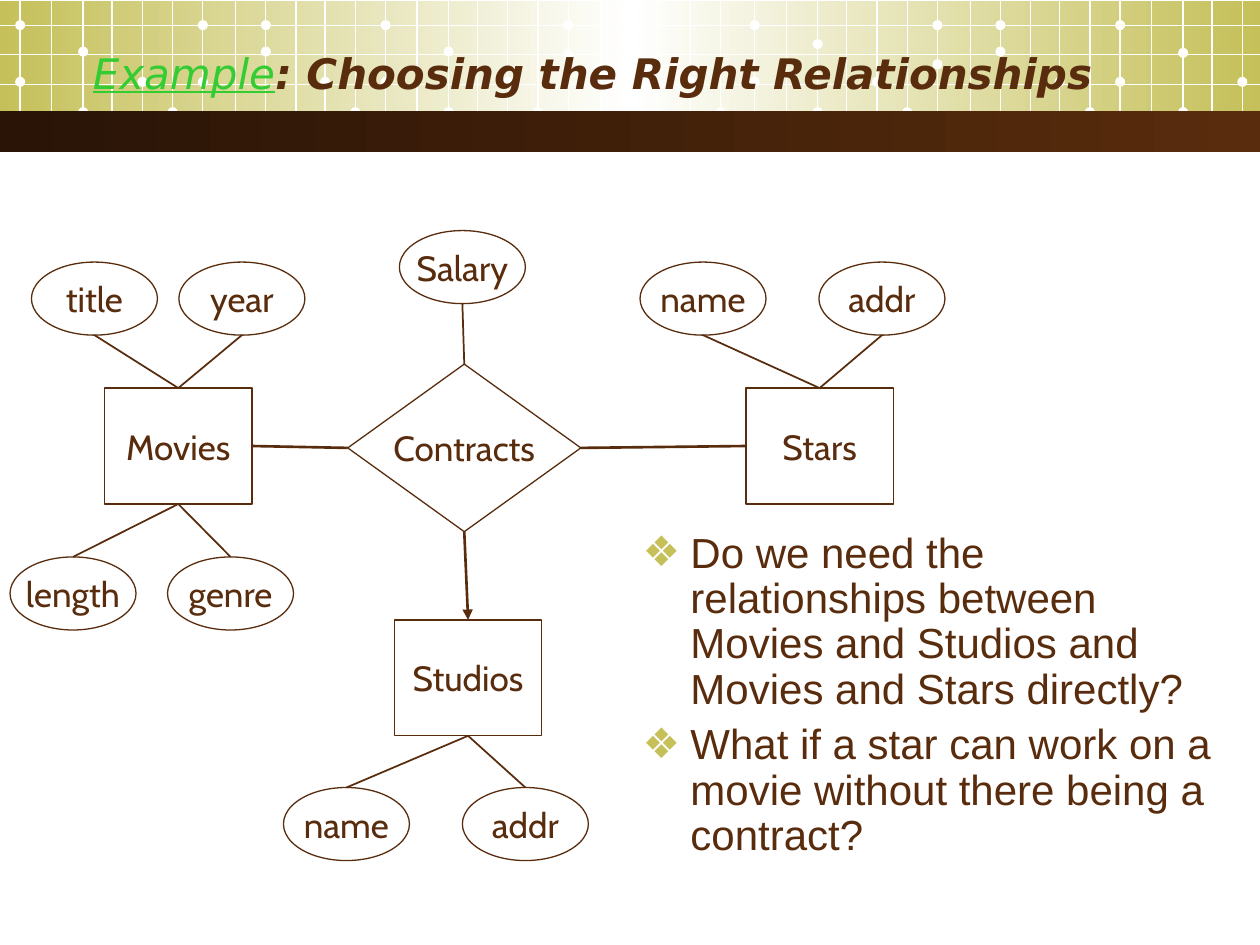
from lxml import etree
from pptx import Presentation
from pptx.dml.color import RGBColor
from pptx.enum.shapes import MSO_CONNECTOR, MSO_SHAPE
from pptx.enum.text import MSO_ANCHOR, MSO_AUTO_SIZE, PP_ALIGN
from pptx.oxml.ns import qn
from pptx.util import Inches, Pt

RECT, OVAL, GEM = MSO_SHAPE.RECTANGLE, MSO_SHAPE.OVAL, MSO_SHAPE.DIAMOND
LINE = MSO_CONNECTOR.STRAIGHT
MIDDLE, FIXED = MSO_ANCHOR.MIDDLE, MSO_AUTO_SIZE.NONE
LEFT, CENTER, RIGHT = PP_ALIGN.LEFT, PP_ALIGN.CENTER, PP_ALIGN.RIGHT
TOP, WEST, BOTTOM, EAST = range(4)

BROWN = RGBColor(0x59, 0x2C, 0x0D)
DARK = RGBColor(0x29, 0x14, 0x06)
OLIVE = RGBColor(0xC5, 0xC0, 0x59)
GREEN = RGBColor(0x33, 0xCC, 0x33)
WHITE = RGBColor(0xFF, 0xFF, 0xFF)

# Header grid: a pattern of columns and dots, repeated in four groups
COLS = [0, 0.25, 0.5, 0.73, 0.97, 1.21, 1.45, 1.71, 1.95, 2.19, 2.42, 2.66]
ROWS = [0.2, 0.43, 0.67, 0.89]
DOTS = [(0, 0.65), (0, 0.2), (0.5, 0.89), (0.97, 0.65), (1.21, 0.89),
        (1.45, 0.2), (1.95, 0.41), (1.95, 0.2), (2.42, 0.65), (2.66, 0.89)]
# Group start, then the heights of the two dots that vary
GROUPS = [(0.16, 0.41, 0.65), (3.06, 0.41, 0.43),
          (5.99, 0.35, 0.51), (8.89, 0.42, 0.65)]

# Name: kind, left, top, attributes above, attributes below
SIZES = {RECT: (1.17, 0.92), GEM: (1.85, 1.33), OVAL: (1, 0.58)}
NODES = {
    "Movies": (RECT, 0.83, 3.08,
               [("title", 0.25, 2.08), ("year", 1.42, 2.08)],
               [("length", 0.08, 4.42), ("genre", 1.33, 4.42)]),
    "Studios": (RECT, 3.13, 4.92, [],
                [("name", 2.25, 6.25), ("addr", 3.67, 6.25)]),
    "Stars": (RECT, 5.92, 3.08,
              [("name", 5.08, 2.08), ("addr", 6.5, 2.08)], []),
    "Contracts": (GEM, 2.76, 2.89, [("Salary", 3.17, 1.83)], []),
}
POINTS = [
    "Do we need the relationships between Movies and Studios and Movies "
    "and Stars directly?",
    "What if a star can work on a movie without there being a contract?",
]


def write(para, text, font="Cabin", size=20, color=BROWN, align=CENTER,
          bold=False, italic=False, under=False):
    para.alignment = align
    run = para.add_run()
    run.text = text
    face = run.font
    face.name, face.size, face.color.rgb = font, Pt(size), color
    face.bold, face.italic, face.underline = bold, italic, under


def draw(slide, kind, left, top, wide, high):
    shape = slide.shapes.add_shape(
        kind, Inches(left), Inches(top), Inches(wide), Inches(high))
    shape.shadow.inherit = False
    shape.line.fill.background()
    return shape


def band(slide, top, high, colors):
    """Full-width strip with evenly spaced gradient stops."""
    shape = draw(slide, RECT, 0, top, 10, high)
    shape.fill.gradient()
    shape.fill.gradient_angle = 0
    stops = shape.element.find(".//" + qn("a:gsLst"))
    for stop in list(stops):
        stops.remove(stop)
    for i, color in enumerate(colors):
        pos = 100000 * i // (len(colors) - 1)
        stop = etree.SubElement(stops, qn("a:gs"), pos=str(pos))
        etree.SubElement(stop, qn("a:srgbClr"), val=str(color))


def link(slide, start, end, color=BROWN, width=1):
    line = slide.shapes.add_connector(LINE, *start, *end)
    line.line.color.rgb, line.line.width = color, Pt(width)
    etree.SubElement(line.element.spPr, qn("a:effectLst"))
    return line


def rule(slide, x1, y1, x2, y2):
    link(slide, (Inches(x1), Inches(y1)), (Inches(x2), Inches(y2)),
         WHITE, 0.75)


def header(slide):
    band(slide, 0.01, 1.02, [OLIVE, WHITE, OLIVE])
    for start, high, low in GROUPS:
        for col in COLS:
            if start + col < 10:
                rule(slide, start + col, 0, start + col, 1.1)
        for col, y in DOTS + [(0.5, high), (1.45, low)]:
            if start + col < 10:
                dot = draw(slide, OVAL, start + col - 0.04, y - 0.04,
                           0.08, 0.08)
                dot.fill.solid()
                dot.fill.fore_color.rgb = WHITE
    for row in ROWS:
        rule(slide, 0, row, 10, row)
    band(slide, 0.88, 0.33, [DARK, BROWN])


def node(slide, kind, text, left, top):
    shape = draw(slide, kind, left, top, *SIZES[kind])
    shape.fill.background()
    shape.line.color.rgb, shape.line.width = BROWN, Pt(0.75)
    frame = shape.text_frame
    frame.word_wrap, frame.vertical_anchor = False, MIDDLE
    write(frame.paragraphs[0], text)
    return shape


def spot(shape, side):
    """Middle of one side of a shape."""
    across, down = [(1, 0), (0, 1), (1, 2), (2, 1)][side]
    return (shape.left + shape.width * across // 2,
            shape.top + shape.height * down // 2)


def join(slide, one, side, two, other, width=1):
    line = link(slide, spot(one, side), spot(two, other), width=width)
    line.begin_connect(one, side)
    # Ovals number their sites differently, only the top one agrees
    if two.auto_shape_type != OVAL or other == TOP:
        line.end_connect(two, other)
    return line


def diagram(slide):
    made = {}
    for name, (kind, left, top, above, below) in NODES.items():
        box = made[name] = node(slide, kind, name, left, top)
        for side, other, ovals in ((TOP, BOTTOM, above),
                                   (BOTTOM, TOP, below)):
            for text, x, y in ovals:
                oval = node(slide, OVAL, text, x, y)
                join(slide, box, side, oval, other)
    # Relationship lines, with an arrow to the single studio
    hub = made["Contracts"]
    join(slide, made["Movies"], EAST, hub, WEST, 1.5)
    join(slide, hub, EAST, made["Stars"], WEST, 1.5)
    arrow = join(slide, hub, BOTTOM, made["Studios"], TOP, 1.5)
    etree.SubElement(arrow.line._get_or_add_ln(), qn("a:tailEnd"),
                     type="triangle")


def place(shape, left, top, wide, high):
    """Move a placeholder into position, in front of what is drawn."""
    shape.left, shape.top = Inches(left), Inches(top)
    shape.width, shape.height = Inches(wide), Inches(high)
    shape.element.getparent().append(shape.element)
    shape.text_frame.word_wrap = True
    shape.text_frame.auto_size = FIXED
    return shape.text_frame


def heading(slide):
    frame = place(slide.shapes.title, 0.27, 0.33, 8.5, 0.5)
    frame.vertical_anchor = MIDDLE
    style = dict(font="DejaVu Sans", size=24, align=RIGHT, italic=True)
    para = frame.paragraphs[0]
    write(para, "Example", color=GREEN, under=True, **style)
    write(para, ": Choosing the Right Relationships", bold=True, **style)


def bullets(slide):
    frame = place(slide.placeholders[1], 5, 4.17, 4.83, 3.08)
    for i, text in enumerate(POINTS):
        para = frame.add_paragraph() if i else frame.paragraphs[0]
        write(para, text, font="Arial", size=24, align=LEFT)
        para.line_spacing, para.space_before = 0.9, Pt(6)
        props = para._p.get_or_add_pPr()
        props.set("marL", str(Inches(0.38)))
        props.set("indent", str(-Inches(0.38)))
        tint = etree.SubElement(props, qn("a:buClr"))
        etree.SubElement(tint, qn("a:srgbClr"), val=str(OLIVE))
        etree.SubElement(props, qn("a:buChar"), char="❖")


def main():
    deck = Presentation()
    deck.slide_width, deck.slide_height = Inches(10), Inches(7.5)
    slide = deck.slides.add_slide(deck.slide_layouts[1])
    header(slide)
    heading(slide)
    diagram(slide)
    bullets(slide)
    deck.save("out.pptx")


if __name__ == "__main__":
    main()
